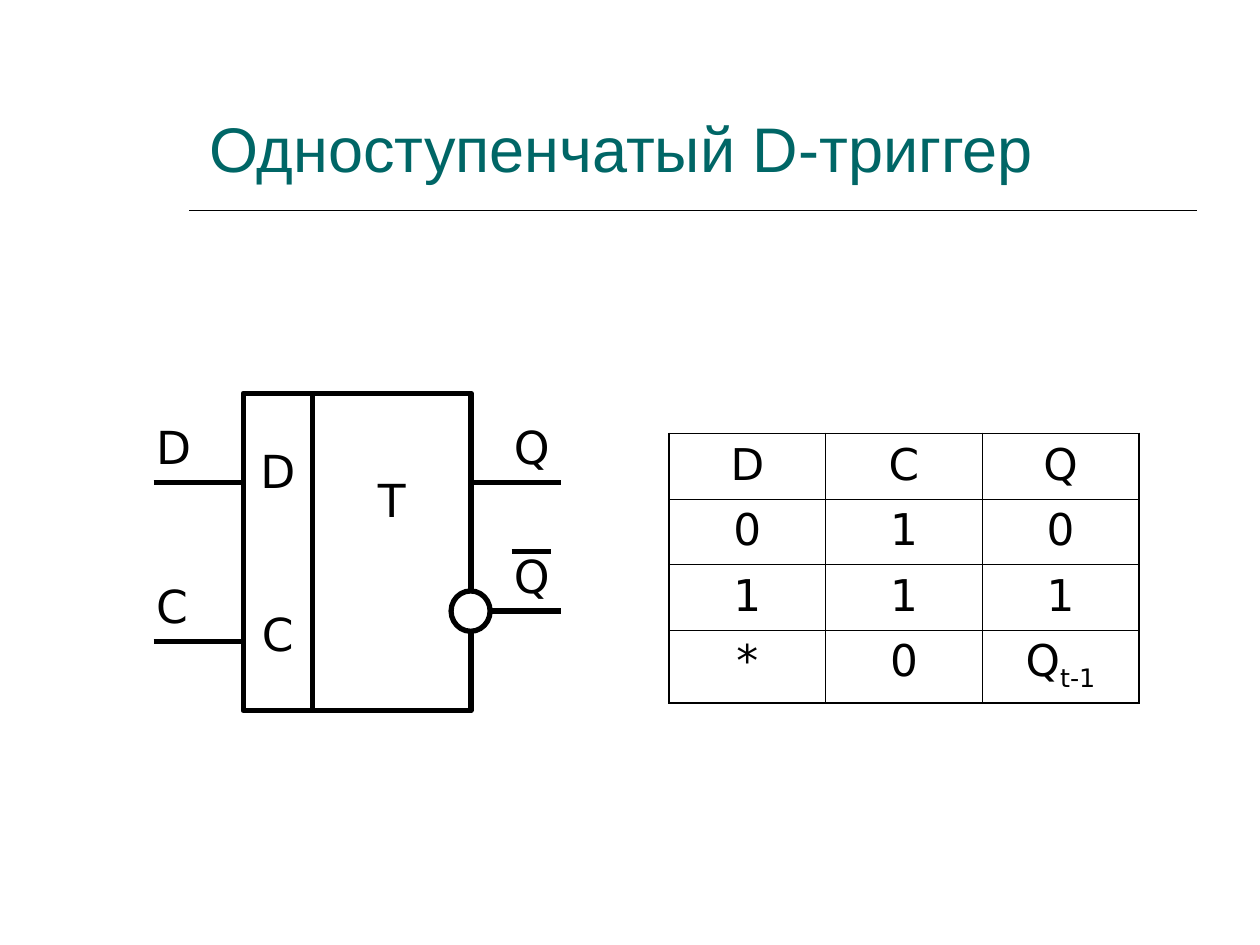
from lxml.etree import SubElement
from pptx import Presentation
from pptx.dml.color import RGBColor
from pptx.enum.shapes import MSO_CONNECTOR, MSO_SHAPE
from pptx.enum.text import MSO_ANCHOR, MSO_AUTO_SIZE, PP_ALIGN
from pptx.oxml import parse_xml
from pptx.oxml.ns import nsdecls, qn
from pptx.util import Inches, Pt

BLACK = RGBColor(0x00, 0x00, 0x00)
WHITE = RGBColor(0xFF, 0xFF, 0xFF)
TEAL = RGBColor(0x00, 0x66, 0x66)


def grid(count):
    """Length of a number of grid columns or rows, ten to the inch."""
    return Inches(count / 10)


def write(para, text, font="DejaVu Sans", size=26, color=BLACK,
          align=PP_ALIGN.LEFT, before=0, baseline=None):
    para.alignment = align
    para.space_before = Pt(before)
    span = para.add_run()
    span.text = text
    span.font.name = font
    span.font.size = Pt(size)
    span.font.color.rgb = color
    if baseline is not None:
        span.font._element.set("baseline", str(baseline * 1000))


class Sketch:
    """Draws on one slide with a common pen."""

    pen = 3

    def __init__(self, deck):
        self.page = deck.slides.add_slide(deck.slide_layouts[5])

    def title(self, text, left, top, width, height):
        box = self.page.shapes.title
        box.left, box.top, box.width, box.height = map(grid, (left, top, width, height))
        frame = box.text_frame
        frame.auto_size = MSO_AUTO_SIZE.NONE
        frame.vertical_anchor = MSO_ANCHOR.BOTTOM
        write(frame.paragraphs[0], text, font="Arial", size=36, color=TEAL)

    def line(self, left, top, length, width=pen):
        line = self.page.shapes.add_connector(
            MSO_CONNECTOR.STRAIGHT, grid(left), grid(top), grid(left + length), grid(top))
        line.line.color.rgb = BLACK
        line.line.width = Pt(width)
        SubElement(line._element.spPr, qn("a:effectLst"))

    def shape(self, kind, left, top, width, height, lines=(), gap=0, bottom=0.5):
        shape = self.page.shapes.add_shape(kind, *map(grid, (left, top, width, height)))
        shape.shadow.inherit = False
        shape.fill.solid()
        shape.fill.fore_color.rgb = WHITE
        shape.line.color.rgb = BLACK
        shape.line.width = Pt(self.pen)
        frame = shape.text_frame
        frame.word_wrap = False
        frame.vertical_anchor = MSO_ANCHOR.MIDDLE
        frame.margin_bottom = grid(bottom)
        for index, text in enumerate(lines):
            para = frame.add_paragraph() if index else frame.paragraphs[0]
            write(para, text, align=PP_ALIGN.CENTER, before=gap if index else 0)

    def label(self, text, left, top):
        box = self.page.shapes.add_textbox(*map(grid, (left, top, 7.1, 5.4)))
        box.text_frame.word_wrap = True
        write(box.text_frame.paragraphs[0], text)

    def table(self, rows, left, top, column, heights):
        count = len(rows[0])
        frame = self.page.shapes.add_table(
            len(rows), count, grid(left), grid(top), grid(column * count), grid(sum(heights)))
        table = frame.table
        table.first_row = table.horz_banding = False
        for item in table.columns:
            item.width = grid(column)
        for r, texts in enumerate(rows):
            table.rows[r].height = grid(heights[r])
            for c, text in enumerate(texts):
                cell = table.cell(r, c)
                cell.fill.solid()
                cell.fill.fore_color.rgb = WHITE
                base, _, index = text.partition("_")
                para = cell.text_frame.paragraphs[0]
                write(para, base, size=25, align=PP_ALIGN.CENTER)
                if index:
                    write(para, index, size=25, align=PP_ALIGN.CENTER, baseline=-25)
                self.borders(cell, L=c == 0, R=c == count - 1,
                             T=r == 0, B=r == len(rows) - 1)

    def borders(self, cell, **outer):
        """Outer edges are thicker than inner ones."""
        properties = cell._tc.get_or_add_tcPr()
        for index, (side, thick) in enumerate(outer.items()):
            width = Pt(1.08 if thick else 0.45)
            properties.insert(index, parse_xml(
                f'<a:ln{side} {nsdecls("a")} w="{width}"><a:solidFill>'
                f'<a:srgbClr val="{BLACK}"/></a:solidFill></a:ln{side}>'))


deck = Presentation()
deck.slide_width, deck.slide_height = grid(100), grid(75)
sketch = Sketch(deck)

# Heading with its rule
sketch.line(15, 16.7, 80, width=1)
sketch.title("Одноступенчатый D-триггер", 15.6, 3.9, 78.8, 11.3)

# Truth table
sketch.table([["D", "C", "Q"],
              ["0", "1", "0"],
              ["1", "1", "1"],
              ["*", "0", "Q_t-1"]], 53.1, 34.4, 12.43, [5.2, 5.2, 5.2, 5.8])

# Body of the flip-flop: input column and main field
sketch.shape(MSO_SHAPE.RECTANGLE, 19.3, 31.2, 5.5, 25.2, ["D", "С"], gap=62)
sketch.shape(MSO_SHAPE.RECTANGLE, 24.8, 31.2, 12.6, 25.2, ["T"], bottom=8.9)

# Pins: each label stands at a fixed offset from its lead
PIN = 7.1
for name, left, top in [("D", 12.2, 38.3), ("С", 12.2, 50.9),
                        ("Q", 37.4, 38.3), ("Q", 37.4, 48.5)]:
    sketch.line(left, top, PIN)
    sketch.label(name, left - 0.8 if left < 20 else left + 2.4, top - 5.5)

# Inverted output: circle and overbar
sketch.shape(MSO_SHAPE.OVAL, 35.8, 46.9, 3.1, 3.2)
sketch.line(40.6, 43.8, 3.1)

deck.save("out.pptx")
